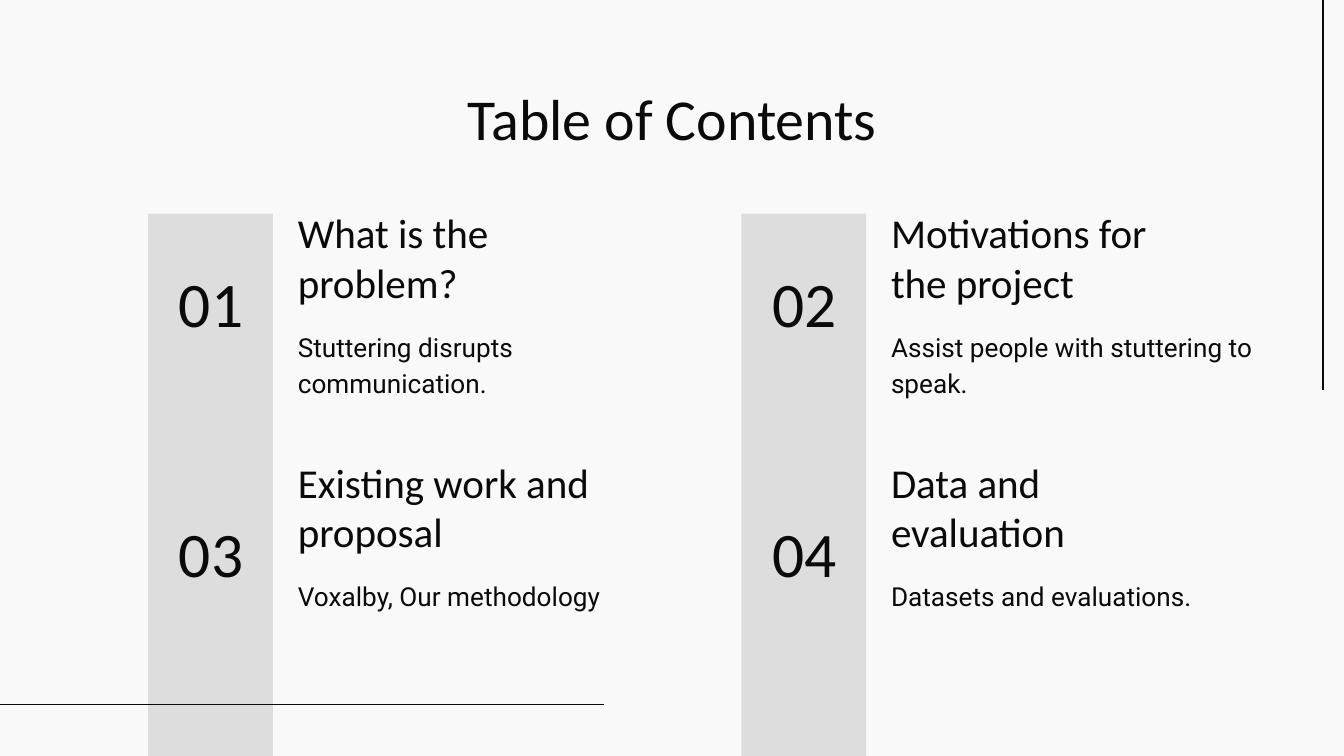
"""Build the table of contents slide."""
from typing import NamedTuple

from pptx import Presentation
from pptx.dml.color import RGBColor
from pptx.enum.shapes import MSO_CONNECTOR, MSO_SHAPE
from pptx.enum.text import MSO_ANCHOR, MSO_AUTO_SIZE, PP_ALIGN
from pptx.oxml.ns import qn
from pptx.util import Cm, Pt

WIDTH, HEIGHT = 25.4, 14.29
INK, BAR, PAPER = "0A0A0A", "DDDDDD", "F9F9F9"
BAR_LEFT, BAR_TOP, BAR_WIDTH = 2.8, 4.04, 2.36
COLUMN_STEP, ROW_STEP = 11.21, 4.72
INSET = 0.25


class Style(NamedTuple):
    font: str
    size: float
    anchor: MSO_ANCHOR = MSO_ANCHOR.TOP
    align: PP_ALIGN = PP_ALIGN.LEFT
    spacing: float = 1.0


class Section(NamedTuple):
    heading: str
    detail: str
    detail_width: float = 6.35


class Rule(NamedTuple):
    x1: float
    y1: float
    x2: float
    y2: float


TITLE = Style("Calibri", 31, align=PP_ALIGN.CENTER)
NUMBER = Style("Calibri", 34, MSO_ANCHOR.MIDDLE, PP_ALIGN.CENTER)
HEADING = Style("Calibri", 22, MSO_ANCHOR.BOTTOM)
DETAIL = Style("Roboto", 14, spacing=1.15)

SECTIONS = [
    Section("What is the problem?", "Stuttering disrupts communication."),
    Section("Motivations for the project", "Assist people with stuttering to speak.", 7.42),
    Section("Existing work and proposal", "Voxalby, Our methodology"),
    Section("Data and evaluation", "Datasets and evaluations."),
]
RULES = [Rule(25, 7.37, 25, 0), Rule(0, 13.32, 11.41, 13.32)]


def color(value: str) -> RGBColor:
    return RGBColor.from_string(value)


def write(sp, text: str, style: Style) -> None:
    tf = sp.text_frame
    tf.text = text
    tf.word_wrap = True
    tf.auto_size = MSO_AUTO_SIZE.NONE
    tf.vertical_anchor = style.anchor
    tf.margin_left = tf.margin_right = tf.margin_top = tf.margin_bottom = Cm(INSET)
    p = tf.paragraphs[0]
    p.alignment = style.align
    p.line_spacing = style.spacing
    p.font.name = style.font
    p.font.size = Pt(style.size)
    p.font.color.rgb = color(INK)


def add_text(s, text: str, style: Style, x: float, y: float, w: float, h: float) -> None:
    write(s.shapes.add_textbox(Cm(x), Cm(y), Cm(w), Cm(h)), text, style)


def add_title(s, text: str) -> None:
    sp = s.shapes.title
    sp.left, sp.top, sp.width, sp.height = Cm(1.98), Cm(1.31), Cm(21.44), Cm(1.52)
    write(sp, text, TITLE)


def add_bar(s, x: float) -> None:
    sp = s.shapes.add_shape(
        MSO_SHAPE.RECTANGLE, Cm(x), Cm(BAR_TOP), Cm(BAR_WIDTH), Cm(HEIGHT - BAR_TOP))
    sp.shadow.inherit = False
    sp.fill.solid()
    sp.fill.fore_color.rgb = color(BAR)
    sp.line.fill.background()


def add_rule(s, rule: Rule) -> None:
    line = s.shapes.add_connector(MSO_CONNECTOR.STRAIGHT, *map(Cm, rule))
    line.line.color.rgb = color(INK)
    line.line.width = Pt(0.75)
    effects = line._element.spPr.makeelement(qn("a:effectLst"), {})
    line._element.spPr.append(effects)


def add_section(s, index: int, section: Section) -> None:
    row, column = divmod(index, 2)
    x = BAR_LEFT + column * COLUMN_STEP
    y = BAR_TOP + row * ROW_STEP
    add_text(s, section.detail, DETAIL, x + 2.58, y + 1.88, section.detail_width, 1.8)
    add_text(s, section.heading, HEADING, x + 2.58, y - 0.24, 6.35, 2.24)
    add_text(s, f"{index + 1:02}", NUMBER, x - 0.03, y + 0.08, 2.44, 3.2)


def main() -> None:
    prs = Presentation()
    prs.slide_width, prs.slide_height = Cm(WIDTH), Cm(HEIGHT)
    s = prs.slides.add_slide(prs.slide_layouts.get_by_name("Title Only"))
    s.background.fill.solid()
    s.background.fill.fore_color.rgb = color(PAPER)
    for column in range(2):
        add_bar(s, BAR_LEFT + column * COLUMN_STEP)
    for rule in RULES:
        add_rule(s, rule)
    add_title(s, "Table of Contents")
    for index, section in enumerate(SECTIONS):
        add_section(s, index, section)
    prs.save("out.pptx")


if __name__ == "__main__":
    main()
